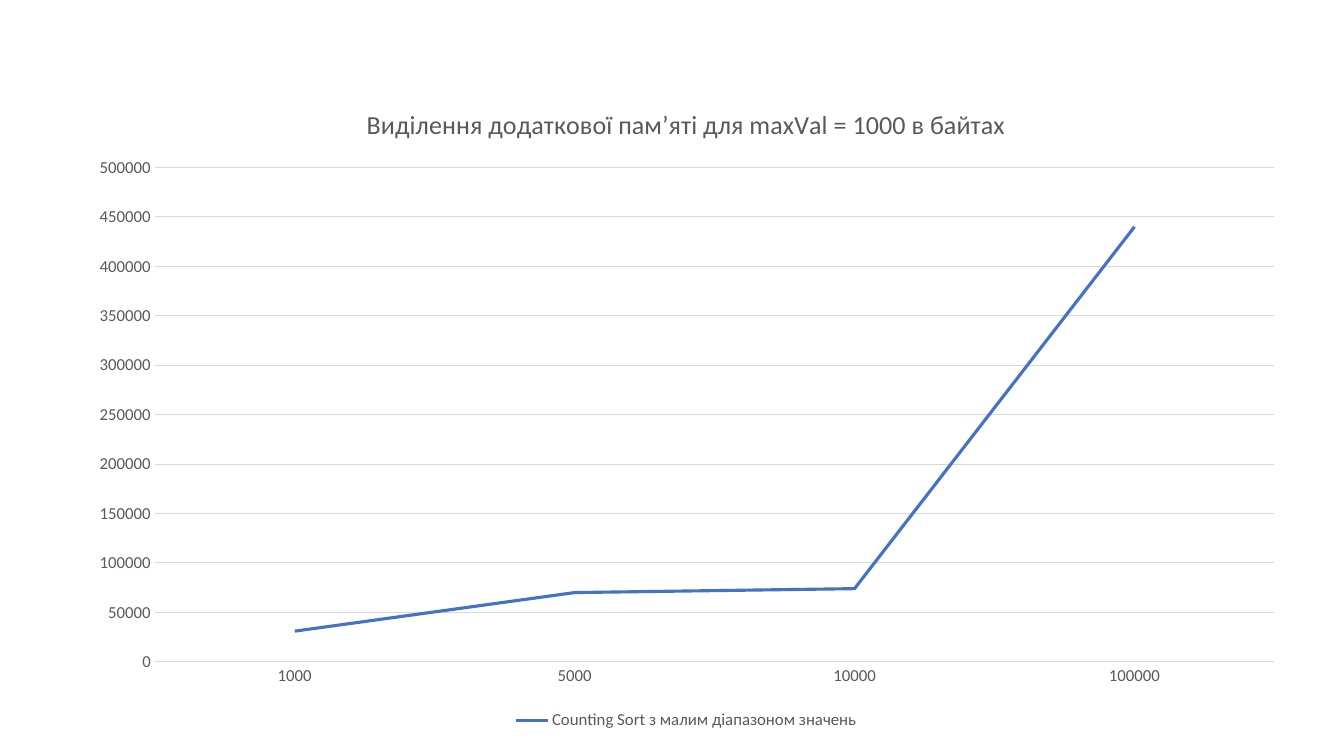
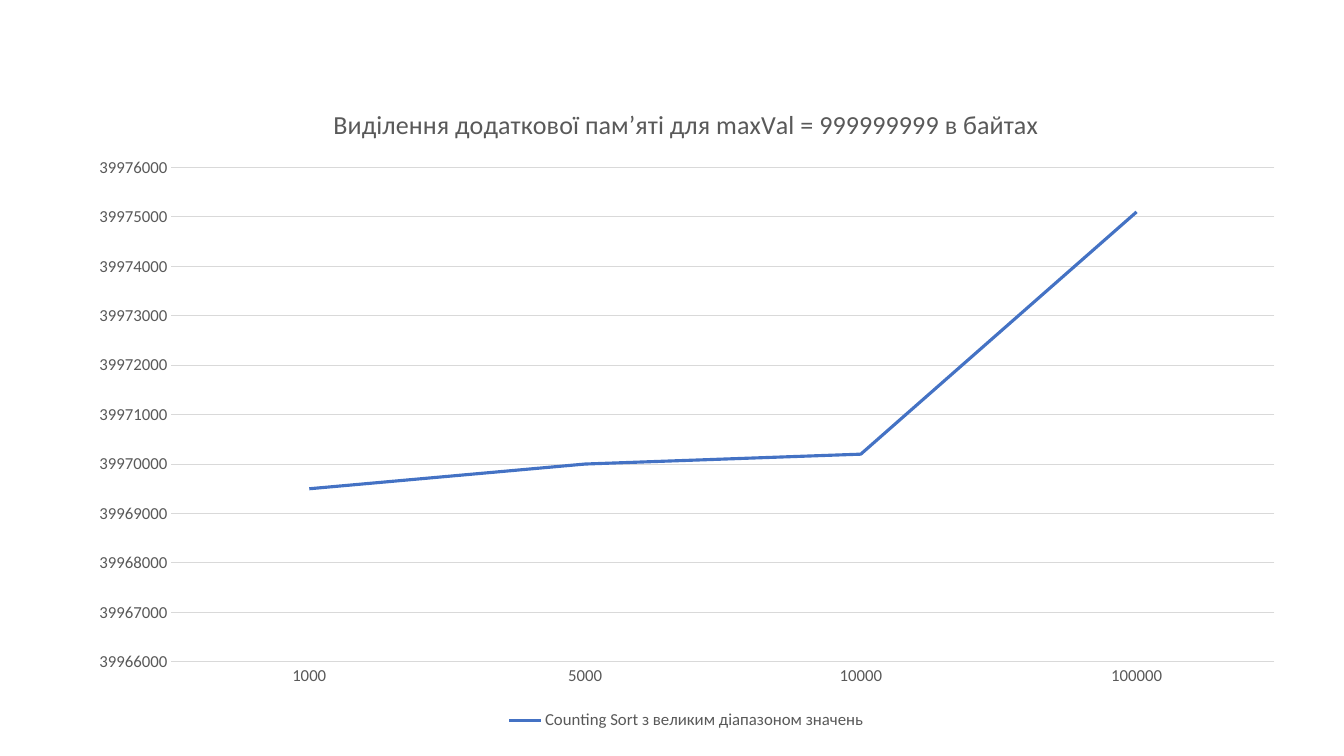
import dataclasses

import lxml.etree
import pptx
import pptx.chart.data
import pptx.dml.color
import pptx.enum.chart
import pptx.oxml.ns
import pptx.util

Cm = pptx.util.Cm
Pt = pptx.util.Pt


@dataclasses.dataclass(frozen=True)
class Theme:
    font: str = "Calibri"
    base: str = "000000"
    text: str = "595959"
    rule: str = "D9D9D9"
    accent: str = "4472C4"
    base_size: float = 10
    title_size: float = 18.6
    label_size: float = 12
    rule_width: float = 0.75
    series_width: float = 2.25


@dataclasses.dataclass(frozen=True)
class MemoryChart:
    title: str
    series: str
    values: tuple
    minimum: int
    maximum: int
    step: int
    plot_left: int


THEME = Theme()
BLANK_LAYOUT = 6
CHART_BOX = (Cm(1.87), Cm(2.09), Cm(30.86), Cm(16.41))
PLOT_TOP, PLOT_RIGHT, PLOT_HEIGHT = Cm(2.13), Cm(30.25), Cm(12.46)
ARRAY_SIZES = ("1000", "5000", "10000", "100000")
MEMORY_CHARTS = (
    MemoryChart(
        "Виділення додаткової пам’яті для maxVal = 1000 в байтах",
        "Counting Sort з малим діапазоном значень",
        (31000, 70000, 74000, 440000), 0, 500000, 50000, Cm(2.03)),
    MemoryChart(
        "Виділення додаткової пам’яті для maxVal = 999999999 в байтах",
        "Counting Sort з великим діапазоном значень",
        (39969500, 39970000, 39970200, 39975100),
        39966000, 39976000, 1000, Cm(2.45)),
)


def style_font(font, size, color=THEME.text):
    font.name = THEME.font
    font.size = Pt(size)
    font.bold = False
    font.color.rgb = pptx.dml.color.RGBColor.from_string(color)


def style_line(line, color, width):
    line.color.rgb = pptx.dml.color.RGBColor.from_string(color)
    line.width = Pt(width)


def style_title(chart, text):
    chart.has_title = True
    chart.chart_title.include_in_layout = False
    para = chart.chart_title.text_frame.paragraphs[0]
    para.text = text
    style_font(para.font, THEME.title_size)


def style_legend(chart):
    chart.has_legend = True
    chart.legend.position = pptx.enum.chart.XL_LEGEND_POSITION.BOTTOM
    chart.legend.include_in_layout = False
    style_font(chart.legend.font, THEME.label_size)


def style_axes(chart, memory):
    sizes, amounts = chart.category_axis, chart.value_axis
    for axis in (sizes, amounts):
        axis.major_tick_mark = pptx.enum.chart.XL_TICK_MARK.NONE
        axis.minor_tick_mark = pptx.enum.chart.XL_TICK_MARK.NONE
        style_font(axis.tick_labels.font, THEME.label_size)
    style_line(sizes.format.line, THEME.rule, THEME.rule_width)
    amounts.format.line.fill.background()
    amounts.has_major_gridlines = True
    style_line(amounts.major_gridlines.format.line, THEME.rule, THEME.rule_width)
    amounts.minimum_scale = memory.minimum
    amounts.maximum_scale = memory.maximum
    amounts.major_unit = memory.step


def place_plot(chart, box, left):
    """Fix the area inside the axes, measured from the chart's corner."""
    qn = pptx.oxml.ns.qn
    width, height = box[2:]
    area = chart.element.find(qn("c:chart")).find(qn("c:plotArea"))
    for automatic in area.findall(qn("c:layout")):
        area.remove(automatic)
    layout = lxml.etree.Element(qn("c:layout"))
    area.insert(0, layout)
    manual = lxml.etree.SubElement(layout, qn("c:manualLayout"))
    settings = (
        ("layoutTarget", "inner"), ("xMode", "edge"), ("yMode", "edge"),
        ("x", left / width), ("y", PLOT_TOP / height),
        ("w", (PLOT_RIGHT - left) / width), ("h", PLOT_HEIGHT / height))
    for name, value in settings:
        lxml.etree.SubElement(manual, qn(f"c:{name}")).set("val", str(value))


def add_memory_chart(page, box, memory):
    data = pptx.chart.data.CategoryChartData(number_format="General")
    data.categories = ARRAY_SIZES
    data.add_series(memory.series, memory.values)
    chart = page.shapes.add_chart(
        pptx.enum.chart.XL_CHART_TYPE.LINE, *box, data).chart
    style_font(chart.font, THEME.base_size, THEME.base)
    style_title(chart, memory.title)
    style_legend(chart)
    style_axes(chart, memory)
    place_plot(chart, box, memory.plot_left)
    plot = chart.plots[0]
    plot.vary_by_categories = False
    series = plot.series[0]
    series.smooth = False
    style_line(series.format.line, THEME.accent, THEME.series_width)


def main():
    deck = pptx.Presentation()
    deck.slide_width, deck.slide_height = Cm(33.87), Cm(19.05)
    for memory in MEMORY_CHARTS:
        page = deck.slides.add_slide(deck.slide_layouts[BLANK_LAYOUT])
        add_memory_chart(page, CHART_BOX, memory)
    deck.save("out.pptx")


if __name__ == "__main__":
    main()
